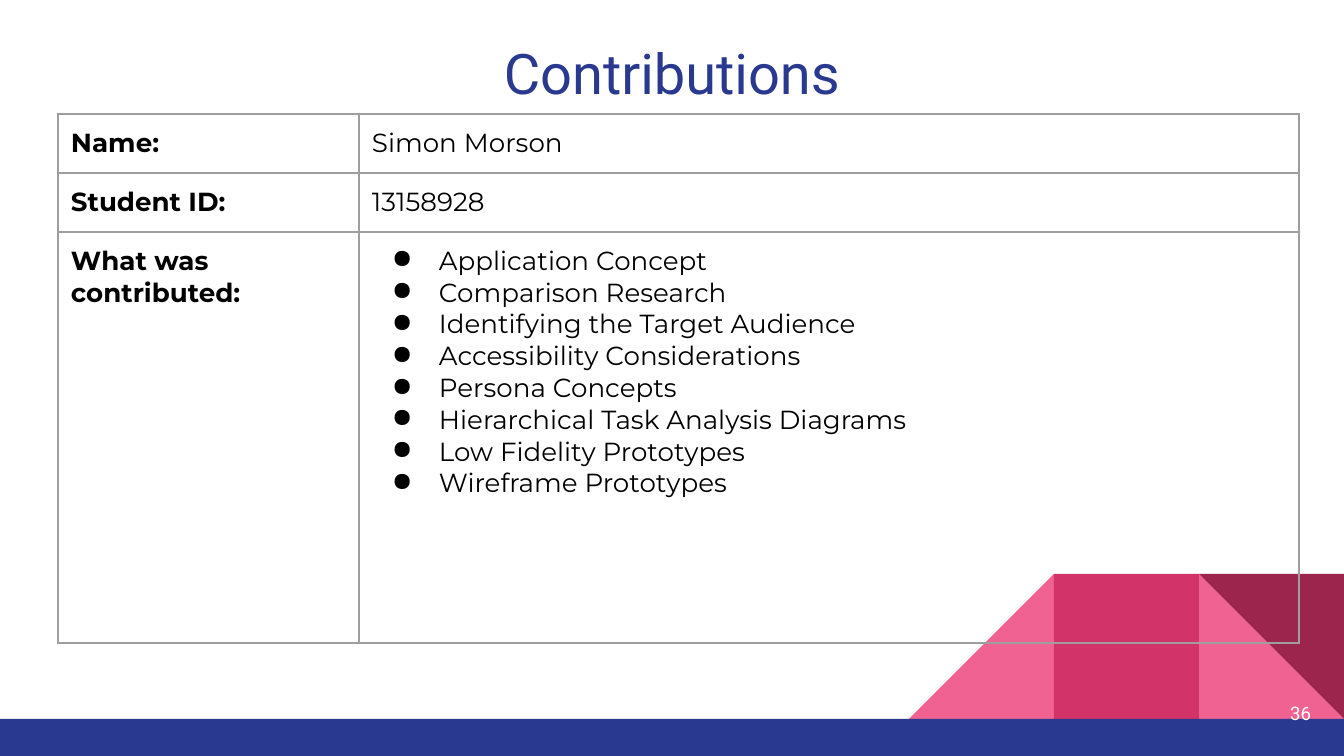
from dataclasses import dataclass

from lxml import etree
from pptx import Presentation
from pptx.dml.color import RGBColor
from pptx.enum.shapes import MSO_SHAPE
from pptx.enum.text import MSO_ANCHOR, PP_ALIGN
from pptx.oxml.ns import qn
from pptx.util import Emu, Pt

RECTANGLE, TRIANGLE = MSO_SHAPE.RECTANGLE, MSO_SHAPE.RIGHT_TRIANGLE
TOP, MIDDLE = MSO_ANCHOR.TOP, MSO_ANCHOR.MIDDLE
LEFT, CENTER, RIGHT = PP_ALIGN.LEFT, PP_ALIGN.CENTER, PP_ALIGN.RIGHT
EMU_PER_PX = 914400 / 134.4


def px(length):
    """Turn whole pixels into EMU."""
    return Emu(round(length * EMU_PER_PX))


@dataclass(frozen=True)
class Theme:
    """Colours, fonts and type sizes of the slide."""
    navy: str = "2A3990"
    pink: str = "F06292"
    rose: str = "D23369"
    wine: str = "9C254D"
    white: str = "FFFFFF"
    ink: str = "000000"
    rule: str = "9E9E9E"
    heading_font: str = "Roboto"
    body_font: str = "Montserrat"
    title_size: int = 30
    body_size: int = 14
    number_size: int = 10
    rule_width: float = 0.75
    inset: int = 13
    bullet_margin: int = 67
    bullet_hang: int = 47


class Deck:
    """Draws themed elements on the current slide."""

    def __init__(self, theme, width, height):
        """Open a presentation with one blank slide."""
        self.theme = theme
        self.presentation = Presentation()
        self.presentation.slide_width = px(width)
        self.presentation.slide_height = px(height)
        self.slide = self.presentation.slides.add_slide(self.presentation.slide_layouts[6])

    def shape(self, kind, box, color, rotation=0, flip=False):
        """Add a flat preset shape."""
        shape = self.slide.shapes.add_shape(kind, *map(px, box))
        shape.fill.solid()
        shape.fill.fore_color.rgb = RGBColor.from_string(color)
        shape.line.fill.background()
        shape.shadow.inherit = False
        shape.rotation = rotation
        if flip:
            shape._element.spPr.find(qn("a:xfrm")).set("flipH", "1")

    def styled_run(self, paragraph, text, font, size, color, bold=False):
        """Add one styled run."""
        run = paragraph.add_run()
        run.text = text
        for name, value in {"name": font, "size": Pt(size), "bold": bold}.items():
            setattr(run.font, name, value)
        run.font.color.rgb = RGBColor.from_string(color)

    def text(self, box, text, size, color, align, anchor):
        """Add a single-line text box in the heading font."""
        frame = self.slide.shapes.add_textbox(*map(px, box)).text_frame
        inset = px(self.theme.inset)
        layout = {"word_wrap": True, "vertical_anchor": anchor, "margin_left": inset,
                  "margin_right": inset, "margin_top": inset, "margin_bottom": inset}
        for name, value in layout.items():
            setattr(frame, name, value)
        frame.paragraphs[0].alignment = align
        self.styled_run(frame.paragraphs[0], text, self.theme.heading_font, size, color)

    def bullet(self, paragraph):
        """Give a paragraph a round bullet and a hanging indent."""
        properties = paragraph._p.get_or_add_pPr()
        properties.set("marL", str(px(self.theme.bullet_margin)))
        properties.set("indent", str(-px(self.theme.bullet_hang)))
        color = etree.SubElement(properties, qn("a:buClr"))
        etree.SubElement(color, qn("a:srgbClr"), val=self.theme.ink)
        etree.SubElement(properties, qn("a:buChar"), char="●")

    def style_cell(self, cell):
        """Set insets, clear the fill and rule all four sides."""
        inset = px(self.theme.inset)
        for side in ("left", "right", "top", "bottom"):
            setattr(cell, f"margin_{side}", inset)
        cell.vertical_anchor = TOP
        cell.fill.background()
        properties = cell._tc.get_or_add_tcPr()
        for index, side in enumerate(("lnL", "lnR", "lnT", "lnB")):
            border = etree.Element(qn(f"a:{side}"), w=str(Pt(self.theme.rule_width)))
            fill = etree.SubElement(border, qn("a:solidFill"))
            etree.SubElement(fill, qn("a:srgbClr"), val=self.theme.rule)
            properties.insert(index, border)

    def fill_cell(self, cell, lines, bold=False):
        """Put lines into a cell, bulleted when there are several."""
        for index, line in enumerate(lines):
            paragraph = cell.text_frame.paragraphs[0] if index == 0 else cell.text_frame.add_paragraph()
            paragraph.alignment = LEFT
            if len(lines) > 1:
                self.bullet(paragraph)
            self.styled_run(paragraph, line, self.theme.body_font, self.theme.body_size, self.theme.ink, bold)

    def table(self, left, top, widths, heights, entries):
        """Add a label and value table whose last entry spans the remaining rows."""
        box = (left, top, sum(widths), sum(heights))
        table = self.slide.shapes.add_table(len(heights), len(widths), *map(px, box)).table
        table.first_row = table.horz_banding = False
        for column, width in zip(table.columns, widths):
            column.width = px(width)
        for row, height in zip(table.rows, heights):
            row.height = px(height)
        for cell in table.iter_cells():
            self.style_cell(cell)
        last = len(entries) - 1
        for column in range(len(widths)):
            table.cell(last, column).merge(table.cell(len(heights) - 1, column))
        for row, (label, values) in enumerate(entries):
            self.fill_cell(table.cell(row, 0), [label], bold=True)
            self.fill_cell(table.cell(row, 1), values)


def main():
    """Build the contributions slide."""
    theme = Theme()
    width, height = 1344, 756
    deck = Deck(theme, width, height)

    tile, floor = 145, 719
    peak = floor - tile
    first, second, third = (width - tile * count for count in (3, 2, 1))
    deck.shape(TRIANGLE, (third, peak, tile, tile), theme.pink)
    deck.shape(TRIANGLE, (first, peak, tile, tile), theme.pink, flip=True)
    deck.shape(RECTANGLE, (second, peak, tile, tile), theme.rose)
    deck.shape(TRIANGLE, (third, peak, tile, tile), theme.wine, rotation=180)
    deck.shape(RECTANGLE, (0, floor, width, height - floor), theme.navy)

    deck.text((46, 26, 1252, 89), "Contributions", theme.title_size, theme.navy, CENTER, TOP)
    deck.text((1243, 684, 81, 58), "36", theme.number_size, theme.white, RIGHT, MIDDLE)

    contributions = [
        "Application Concept",
        "Comparison Research",
        "Identifying the Target Audience",
        "Accessibility Considerations",
        "Persona Concepts",
        "Hierarchical Task Analysis Diagrams",
        "Low Fidelity Prototypes",
        "Wireframe Prototypes",
    ]
    entries = [
        ("Name:", ["Simon Morson"]),
        ("Student ID:", ["13158928"]),
        ("What was contributed:", contributions),
    ]
    deck.table(58, 114, (301, 940), (59, 59, 137, 137, 137), entries)
    deck.presentation.save("out.pptx")


if __name__ == "__main__":
    main()
